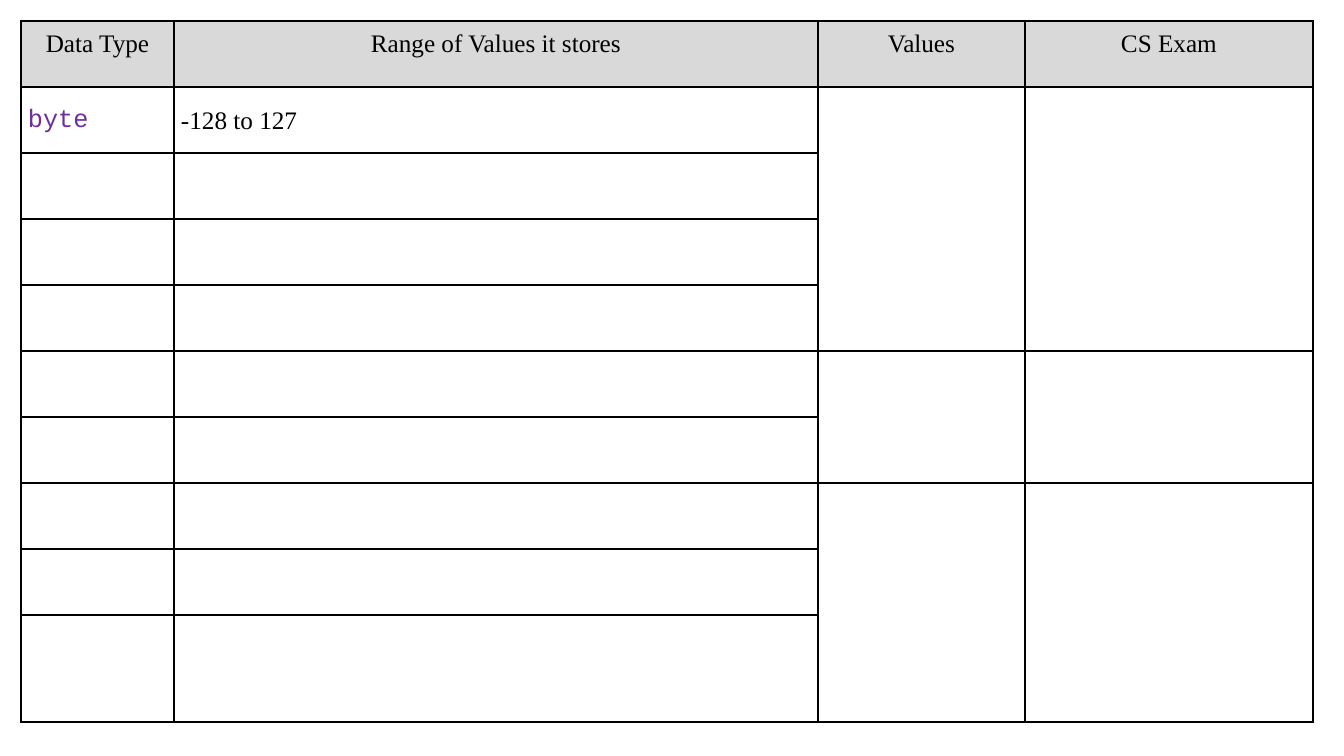
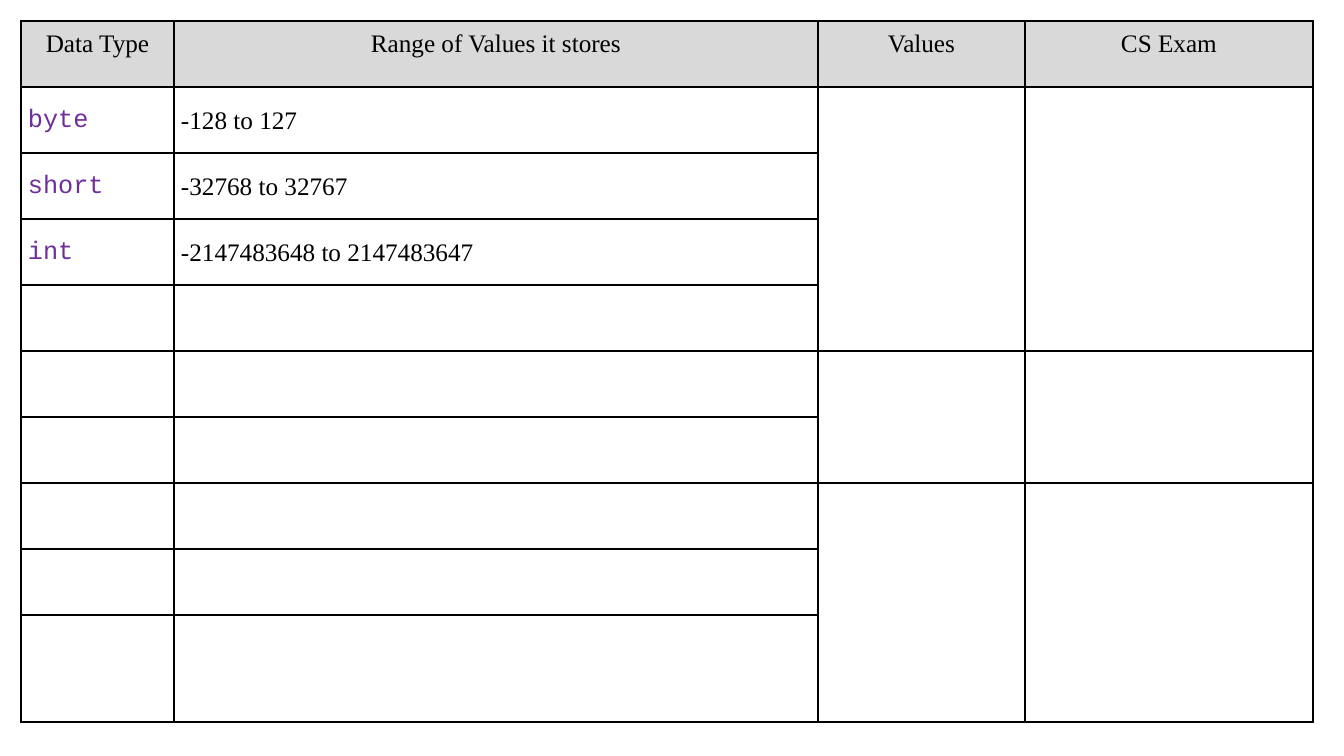
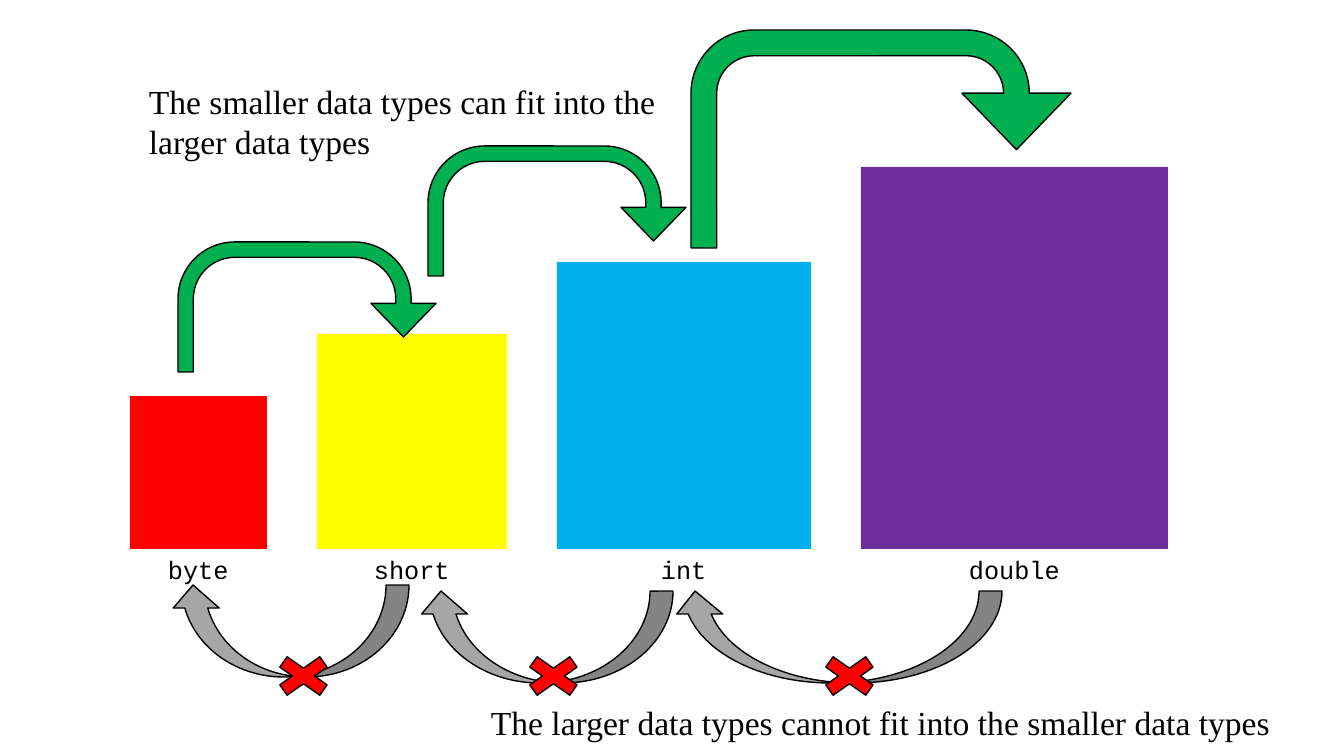
from lxml import etree
from pptx import Presentation
from pptx.dml.color import RGBColor
from pptx.enum.shapes import MSO_SHAPE
from pptx.enum.text import MSO_ANCHOR, MSO_AUTO_SIZE, PP_ALIGN
from pptx.oxml.ns import qn
from pptx.util import Emu, Pt

EMU_PER_PX = 914400 / 100.8
COLORS = {
    "black": "000000",
    "header": "D9D9D9",
    "keyword": "6E2F9D",
    "red": "FF0000",
    "yellow": "FFFF00",
    "blue": "00B0F0",
    "purple": "6E2F9D",
    "green": "00B050",
    "gray": "A6A6A6",
}
SERIF, MONO = "Times New Roman", "Courier New"

HEADERS = ["Data Type", "Range of Values it stores", "Values", "CS Exam"]
COL_WIDTHS = [153, 644, 207, 288]
ROW_HEIGHTS = [66] * 9 + [107]
GROUPS = [(1, 4), (5, 6), (7, 9)]  # first and last row of each merged block
TYPES = [
    ("byte", "-128 to 127"),
    ("short", "-32768 to 32767"),
    ("int", "-2147483648 to 2147483647"),
]


def px(n):
    return Emu(round(n * EMU_PER_PX))


def rgb(name):
    return RGBColor.from_string(COLORS[name])


def write(tf, text, size=18, font=SERIF, color="black", align=PP_ALIGN.LEFT, spacing=None):
    p = tf.paragraphs[0]
    p.alignment = align
    if spacing:
        p.line_spacing = spacing
    r = p.add_run()
    r.text = text
    r.font.size, r.font.name = Pt(size), font
    r.font.color.rgb = rgb(color)


def add_text(s, box, text, wrap=True, **fmt):
    tf = s.shapes.add_textbox(*map(px, box)).text_frame
    tf.word_wrap = wrap
    tf.auto_size = MSO_AUTO_SIZE.SHAPE_TO_FIT_TEXT
    write(tf, text, **fmt)


def add_figure(s, kind, box, fill, outlined=True, adjust=(), rotation=0):
    sp = s.shapes.add_shape(kind, *map(px, box))
    sp.shadow.inherit = False
    sp.fill.solid()
    sp.fill.fore_color.rgb = rgb(fill)
    if outlined:
        sp.line.color.rgb = rgb("black")
        sp.line.width = Pt(1)
    else:
        sp.line.fill.background()
    for i, value in enumerate(adjust):
        sp.adjustments[i] = value
    sp.rotation = rotation


def set_borders(cell):
    tcPr = cell._tc.get_or_add_tcPr()
    for side in ("lnL", "lnR", "lnT", "lnB"):
        ln = etree.SubElement(tcPr, qn(f"a:{side}"), w=str(Pt(1)))
        fill = etree.SubElement(ln, qn("a:solidFill"))
        etree.SubElement(fill, qn("a:srgbClr"), val=COLORS["black"])


def add_type_table(s, left, top, filled):
    """Table of data types with the first `filled` types written in."""
    table = s.shapes.add_table(
        len(ROW_HEIGHTS), len(COL_WIDTHS), px(left), px(top),
        px(sum(COL_WIDTHS)), px(sum(ROW_HEIGHTS))).table
    table.first_row = table.horz_banding = False
    for col, width in zip(table.columns, COL_WIDTHS):
        col.width = px(width)
    for row, height in zip(table.rows, ROW_HEIGHTS):
        row.height = px(height)
    for cell in table.iter_cells():
        set_borders(cell)
        cell.fill.background()
        cell.margin_left = cell.margin_right = px(7)
        cell.margin_top = cell.margin_bottom = px(7)
    for c, header in enumerate(HEADERS):
        cell = table.cell(0, c)
        cell.fill.solid()
        cell.fill.fore_color.rgb = rgb("header")
        write(cell.text_frame, header, align=PP_ALIGN.CENTER, spacing=1.07)
    for r, (name, values) in enumerate(TYPES[:filled], 1):
        for c, (text, fmt) in enumerate([(name, dict(font=MONO, color="keyword")), (values, {})]):
            cell = table.cell(r, c)
            cell.vertical_anchor = MSO_ANCHOR.MIDDLE
            write(cell.text_frame, text, spacing=1.07, **fmt)
    for first, last in GROUPS:
        for c in (2, 3):
            table.cell(first, c).merge(table.cell(last, c))


def add_size_blocks(s, left, bottom, gap=50):
    """Row of growing blocks on one base line, each named below."""
    blocks = [
        ("byte", 137, 153, "red"),
        ("short", 190, 215, "yellow"),
        ("int", 254, 287, "blue"),
        ("double", 307, 382, "purple"),
    ]
    for name, width, height, color in blocks:
        add_figure(s, MSO_SHAPE.RECTANGLE, (left, bottom - height, width, height),
                   color, outlined=False)
        label_width = 21 + 15 * len(name)
        add_text(s, (left + (width - label_width) / 2, bottom, label_width, 40),
                 name, wrap=False, font=MONO)
        left += width + gap


def add_widening_arrows(s, left, top):
    for x, y, width, height, tip in [
        (0, 212, 258, 130, 0.731),
        (250, 116, 258, 130, 0.731),
        (513, 0, 380, 218, 0.549),
    ]:
        add_figure(s, MSO_SHAPE.U_TURN_ARROW, (left + x, top + y, width, height),
                   "green", adjust=(0.118, 0.25, 0.259, 0.438, tip))


def add_narrowing_arrows(s, left, top):
    """Arrows back to the smaller types, each crossed out."""
    for x, y, width, cross_x in [(0, 0, 239, 95), (248, 6, 255, 345), (502, 6, 330, 641)]:
        add_figure(s, MSO_SHAPE.CURVED_DOWN_ARROW, (left + x, top + y, width, 92),
                   "gray", rotation=180)
        add_figure(s, MSO_SHAPE.MATH_MULTIPLY, (left + cross_x, top + 64, 77, 54), "red")


def add_fit_slide(s):
    add_size_blocks(s, 130, 549)
    add_widening_arrows(s, 178, 30)
    add_text(s, (139, 76, 541, 92),
             "The smaller data types can fit into the larger data types", size=24)
    add_narrowing_arrows(s, 170, 585)
    add_text(s, (481, 697, 846, 50),
             "The larger data types cannot fit into the smaller data types", size=24)


def main():
    prs = Presentation()
    prs.slide_width, prs.slide_height = px(1344), px(756)
    blank = prs.slide_layouts[6]
    for filled in (1, 3):
        add_type_table(prs.slides.add_slide(blank), 21, 21, filled)
    add_fit_slide(prs.slides.add_slide(blank))
    prs.save("out.pptx")


if __name__ == "__main__":
    main()
